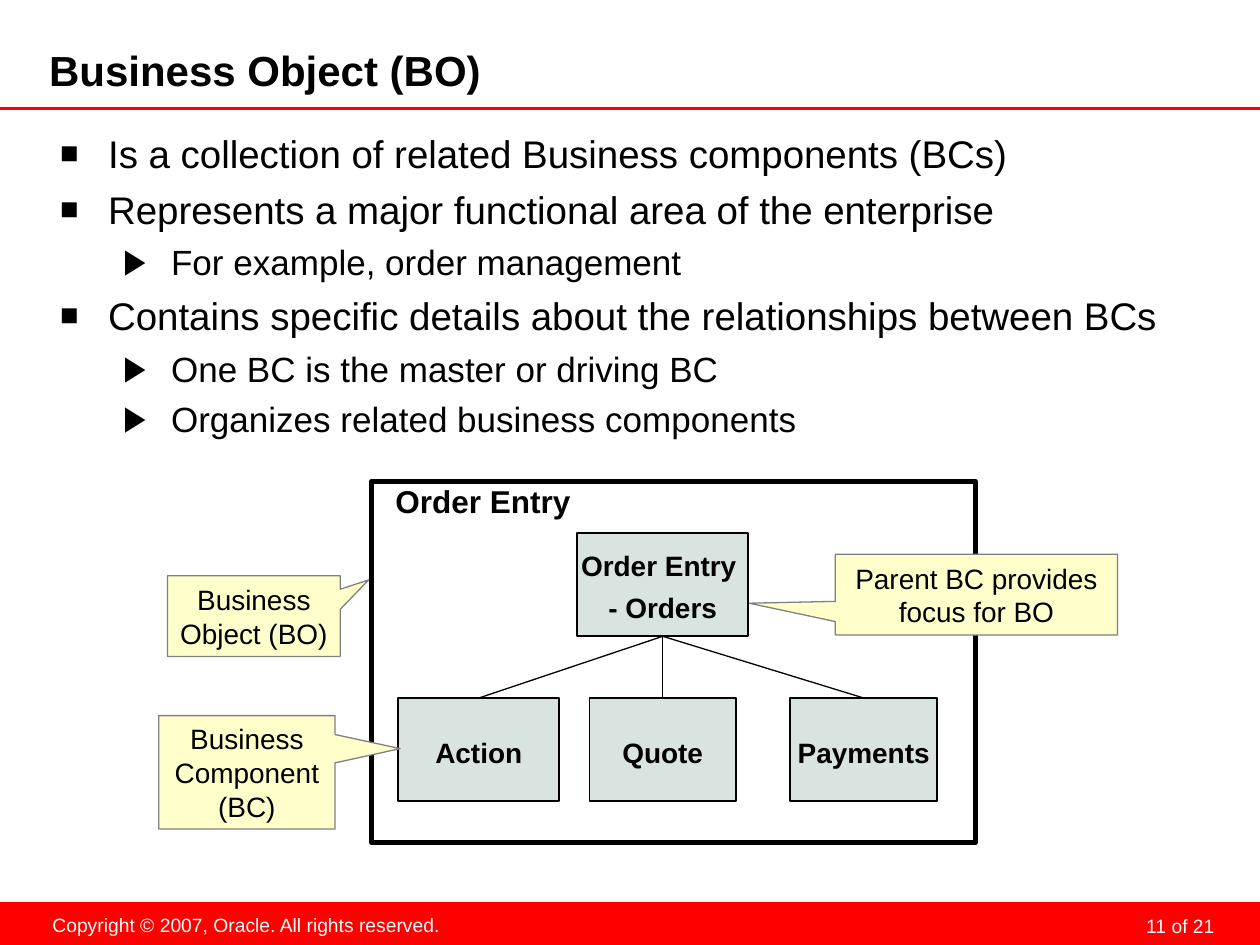
from typing import NamedTuple

from lxml.etree import SubElement
from pptx import Presentation
from pptx.dml.color import RGBColor
from pptx.enum.shapes import MSO_CONNECTOR, MSO_SHAPE
from pptx.enum.text import MSO_ANCHOR, PP_ALIGN
from pptx.oxml.ns import qn
from pptx.util import Inches, Pt

BLACK = RGBColor(0x00, 0x00, 0x00)
WHITE = RGBColor(0xFF, 0xFF, 0xFF)
RED = RGBColor(0xFF, 0x00, 0x00)
GREY = RGBColor(0x80, 0x80, 0x80)
SAGE = RGBColor(0xD9, 0xE3, 0xE0)
CREAM = RGBColor(0xFF, 0xFF, 0xCC)


class Box(NamedTuple):
    left: float
    top: float
    width: float
    height: float


class Style(NamedTuple):
    size: float
    bold: bool = False
    color: RGBColor = BLACK
    align: PP_ALIGN = PP_ALIGN.LEFT
    anchor: MSO_ANCHOR = MSO_ANCHOR.TOP
    insets: tuple[float, float, float, float] = (0.1, 0.05, 0.1, 0.05)
    wrap: bool = True
    line_spacing: float | None = None
    space_before: float = 0


class Component(NamedTuple):
    box: Box
    lines: list[str]


class Callout(NamedTuple):
    box: Box
    text: str
    tip: tuple[float, float]


class Level(NamedTuple):
    bullet: str
    bullet_percent: int
    indent: float
    size: float
    space_before: float


LEVELS = [Level("■", 80, 0.38, 22, 5.5), Level("▶", 100, 0.88, 20, 5)]
HANGING = 0.38

BULLETS = [
    (0, "Is a collection of related Business components (BCs)"),
    (0, "Represents a major functional area of the enterprise"),
    (1, "For example, order management"),
    (0, "Contains specific details about the relationships between BCs"),
    (1, "One BC is the master or driving BC"),
    (1, "Organizes related business components"),
]

CHILD_TOP, BC_HEIGHT = 5.54, 0.82
PARENT = Component(Box(4.58, 4.23, 1.36, BC_HEIGHT), ["Order Entry ", "- Orders"])
CHILDREN = [
    Component(Box(left, CHILD_TOP, width, BC_HEIGHT), [name])
    for left, width, name in [
        (3.16, 1.28, "Action"),
        (4.68, 1.16, "Quote"),
        (6.27, 1.17, "Payments"),
    ]
]

CALLOUTS = [
    Callout(Box(1.33, 4.57, 1.37, 0.64), "Business Object (BO)", (0.665, -0.448)),
    Callout(Box(1.26, 5.68, 1.4, 0.9), "Business Component (BC)", (0.869, -0.209)),
    Callout(Box(6.63, 4.4, 2.24, 0.64), "Parent BC provides focus for BO", (-0.805, 0.106)),
]

TITLE = Style(24, bold=True, anchor=MSO_ANCHOR.MIDDLE, insets=(0, 0, 0.05, 0.05))
BODY = Style(22, insets=(0.1, 0.1, 0.1, 0.05))
FRAME_LABEL = Style(18, bold=True)
COMPONENT = Style(16, bold=True, align=PP_ALIGN.CENTER, anchor=MSO_ANCHOR.MIDDLE,
                  insets=(0.05, 0.1, 0.05, 0.05), wrap=False, line_spacing=18, space_before=6)
CALLOUT = Style(16, align=PP_ALIGN.CENTER, anchor=MSO_ANCHOR.MIDDLE)
COPYRIGHT = Style(11, color=WHITE, align=PP_ALIGN.CENTER, wrap=False)
PAGE = Style(11, color=WHITE, align=PP_ALIGN.RIGHT, insets=(0.05, 0, 0.05, 0), line_spacing=18)


def write(shape, lines: list[str], style: Style) -> None:
    frame = shape.text_frame
    frame.text = "\n".join(lines)
    frame.word_wrap = style.wrap
    frame.vertical_anchor = style.anchor
    (frame.margin_left, frame.margin_top,
     frame.margin_right, frame.margin_bottom) = map(Inches, style.insets)
    for index, paragraph in enumerate(frame.paragraphs):
        paragraph.alignment = style.align
        if style.line_spacing:
            paragraph.line_spacing = Pt(style.line_spacing)
        if index and style.space_before:
            paragraph.space_before = Pt(style.space_before)
        font = paragraph.font
        font.name, font.size, font.bold = "Arial", Pt(style.size), style.bold
        font.color.rgb = style.color


def add_text(slide, box: Box, lines: list[str], style: Style):
    textbox = slide.shapes.add_textbox(*map(Inches, box))
    write(textbox, lines, style)
    return textbox


def add_block(slide, box: Box, fill: RGBColor | None, line: RGBColor | None = None,
              weight: float = 1, kind: MSO_SHAPE = MSO_SHAPE.RECTANGLE):
    block = slide.shapes.add_shape(kind, *map(Inches, box))
    block.shadow.inherit = False
    if fill is None:
        block.fill.background()
    else:
        block.fill.solid()
        block.fill.fore_color.rgb = fill
    if line is None:
        block.line.fill.background()
    else:
        block.line.color.rgb = line
        block.line.width = Pt(weight)
    return block


def add_line(slide, start: tuple[float, float], end: tuple[float, float],
             color: RGBColor, weight: float) -> None:
    line = slide.shapes.add_connector(MSO_CONNECTOR.STRAIGHT, *map(Inches, start + end))
    line.line.color.rgb = color
    line.line.width = Pt(weight)
    SubElement(line._element.spPr, qn("a:effectLst"))


def add_bullets(slide, box: Box, items: list[tuple[int, str]]) -> None:
    body = add_text(slide, box, [], BODY)
    frame = body.text_frame
    for index, (depth, text) in enumerate(items):
        level = LEVELS[depth]
        paragraph = frame.add_paragraph() if index else frame.paragraphs[0]
        paragraph.text = text
        paragraph.level = depth
        if index:
            paragraph.space_before = Pt(level.space_before)
        properties = paragraph._p.get_or_add_pPr()
        for old in properties.findall(qn("a:defRPr")):
            properties.remove(old)
        properties.set("marL", str(Inches(level.indent)))
        properties.set("indent", str(-Inches(HANGING)))
        bullet_color = SubElement(properties, qn("a:buClr"))
        SubElement(bullet_color, qn("a:srgbClr"), val=str(BLACK))
        SubElement(properties, qn("a:buSzPct"), val=str(level.bullet_percent * 1000))
        SubElement(properties, qn("a:buFont"), typeface="Arial")
        SubElement(properties, qn("a:buChar"), char=level.bullet)
        font = paragraph.font
        font.name, font.size = "Arial", Pt(level.size)
        font.color.rgb = BLACK


def add_component(slide, component: Component) -> None:
    write(add_block(slide, component.box, SAGE, BLACK), component.lines, COMPONENT)


def add_callout(slide, callout: Callout) -> None:
    shape = add_block(slide, callout.box, CREAM, GREY, 0.75, MSO_SHAPE.RECTANGULAR_CALLOUT)
    shape.adjustments[0], shape.adjustments[1] = callout.tip
    write(shape, [callout.text], CALLOUT)


def main() -> None:
    deck = Presentation()
    deck.slide_width, deck.slide_height = Inches(10), Inches(7.5)
    slide = deck.slides.add_slide(deck.slide_layouts[6])

    # Footer band and title rule
    add_block(slide, Box(0, 7.16, 10, 0.34), RED)
    add_text(slide, Box(7.36, 7.19, 2.33, 0.25), ["11 of 21"], PAGE)
    add_text(slide, Box(0.31, 7.2, 3.29, 0.29),
             ["Copyright © 2007, Oracle. All rights reserved."], COPYRIGHT)
    add_line(slide, (0, 0.86), (10, 0.86), RED, 1.75)

    # Title and bullets
    add_text(slide, Box(0.39, 0.38, 7.87, 0.4), ["Business Object (BO)"], TITLE)
    add_bullets(slide, Box(0.38, 0.93, 9.3, 6.17), BULLETS)

    # Business object with its parent and child components
    add_block(slide, Box(2.95, 3.82, 4.79, 2.87), None, BLACK, 3)
    add_text(slide, Box(3.04, 3.78, 2.09, 0.4), ["Order Entry"], FRAME_LABEL)
    add_component(slide, PARENT)
    parent = PARENT.box
    parent_foot = (parent.left + parent.width / 2, parent.top + parent.height)
    for child in CHILDREN:
        add_component(slide, child)
        child_head = (child.box.left + child.box.width / 2, child.box.top)
        add_line(slide, parent_foot, child_head, BLACK, 0.75)

    # Explanatory callouts
    for callout in CALLOUTS:
        add_callout(slide, callout)

    deck.save("out.pptx")


if __name__ == "__main__":
    main()
